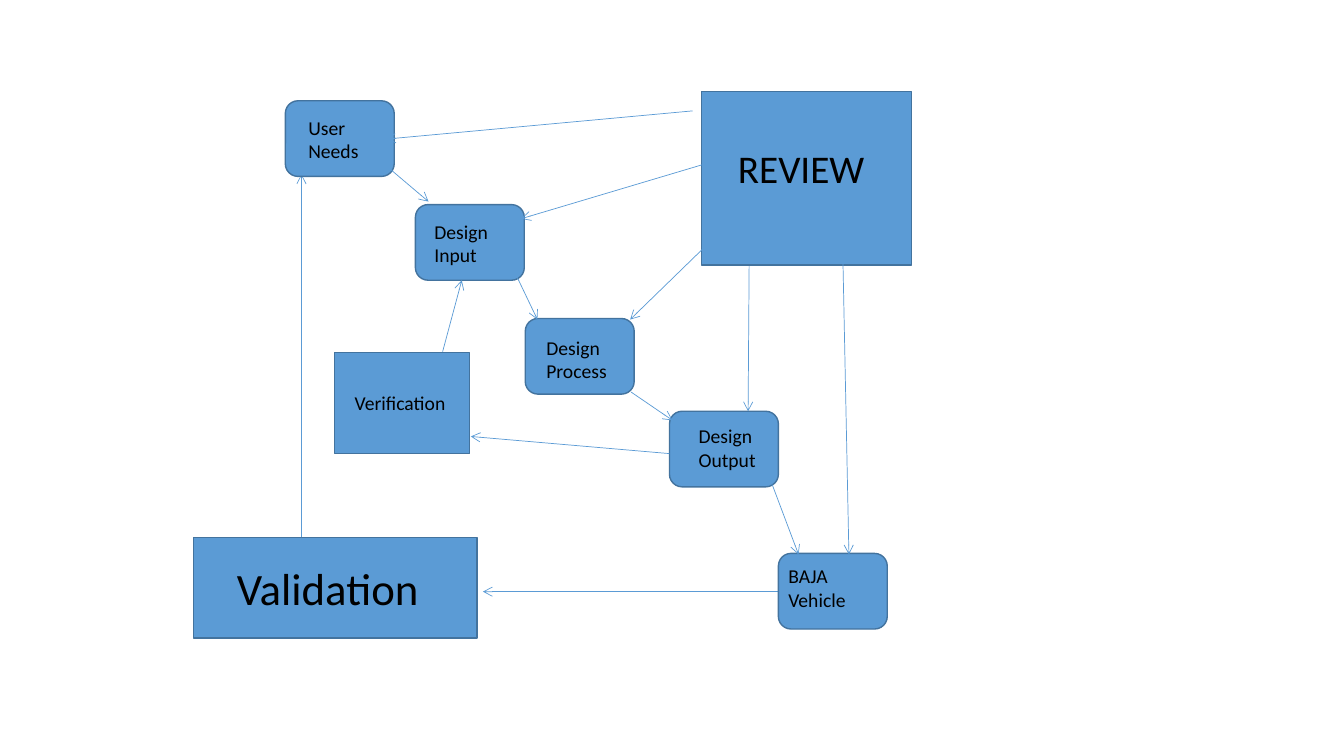
from lxml.etree import SubElement
from pptx import Presentation
from pptx.dml.color import RGBColor
from pptx.enum.shapes import MSO_CONNECTOR, MSO_SHAPE
from pptx.enum.text import MSO_AUTO_SIZE, PP_ALIGN
from pptx.oxml.ns import qn
from pptx.util import Inches, Pt

BLUE = RGBColor(0x5B, 0x9B, 0xD5)
EDGE = RGBColor(0x43, 0x73, 0x9E)
BLACK = RGBColor(0, 0, 0)

STEP_SIZE = (1.08, 0.75)
STEPS = [(2.83, 1), (7.72, 5.49), (4.12, 2.03), (5.21, 3.16), (6.64, 4.08)]
CHECKS = [(3.32, 3.5, 1.34, 1), (6.96, 0.91, 2.08, 1.72)]
LOOP = [(2.99, 5.33, 2.99, 1.73), (8.04, 5.87, 4.79, 5.87)]
FLOWS = [
    (3.86, 1.67, 4.25, 2),
    (5.12, 2.73, 5.33, 3.17),
    (6.26, 3.89, 6.67, 4.17),
    (7.66, 4.81, 7.92, 5.5),
    (6.64, 4.5, 4.67, 4.33),
    (4.39, 3.49, 4.58, 2.78),
    (6.87, 1.1, 3.83, 1.38),
    (6.98, 1.63, 5.17, 2.17),
    (6.98, 2.46, 6.25, 3.17),
    (7.43, 2.64, 7.42, 4.08),
    (8.36, 2.56, 8.42, 5.5),
]
LABELS = [
    ("REVIEW", (7.22, 1.38, 1.52, 0.57), 28),
    ("User Needs", (2.96, 1.1, 0.83, 0.57), 14),
    ("Design Input", (4.21, 2.13, 0.87, 0.57), 14),
    ("Design Process", (5.32, 3.28, 0.84, 0.57), 14),
    ("Design Output", (6.83, 4.16, 1.22, 0.57), 14),
    ("BAJA Vehicle", (7.72, 5.55, 1.02, 0.57), 14),
    ("Verification", (3.42, 3.83, 1.16, 0.34), 14),
]


def apply(target, values):
    for name, value in values.items():
        setattr(target, name, value)


class Chart:
    font = {"name": "Calibri"}
    frame = {"auto_size": MSO_AUTO_SIZE.SHAPE_TO_FIT_TEXT}

    def __init__(self, slide):
        self.shapes = slide.shapes

    def box(self, place, kind=MSO_SHAPE.RECTANGLE):
        shape = self.shapes.add_shape(kind, *map(Inches, place))
        shape.shadow.inherit = False
        shape.fill.solid()
        shape.fill.fore_color.rgb = BLUE
        shape.line.color.rgb = EDGE
        shape.line.width = Pt(1)

    def arrow(self, ends):
        link = self.shapes.add_connector(
            MSO_CONNECTOR.STRAIGHT, *map(Inches, ends))
        link.line.color.rgb = BLUE
        link.line.width = Pt(0.5)
        SubElement(link.line._get_or_add_ln(), qn("a:tailEnd"), type="arrow")
        SubElement(link._element.spPr, qn("a:effectLst"))

    def label(self, text, place, size, wrap=True):
        frame = self.shapes.add_textbox(*map(Inches, place)).text_frame
        apply(frame, {**self.frame, "word_wrap": wrap})
        line = frame.paragraphs[0]
        line.alignment = PP_ALIGN.LEFT
        run = line.add_run()
        run.text = text
        apply(run.font, {**self.font, "size": Pt(size)})
        run.font.color.rgb = BLACK


def main():
    deck = Presentation()
    apply(deck, {"slide_width": Inches(13.33), "slide_height": Inches(7.5)})
    chart = Chart(deck.slides.add_slide(deck.slide_layouts[6]))
    chart.box((1.92, 5.33, 2.81, 1))
    chart.label("Validation", (2.25, 5.51, 2.01, 0.64), 32, wrap=False)
    for ends in LOOP:
        chart.arrow(ends)
    for spot in STEPS:
        chart.box(spot + STEP_SIZE, MSO_SHAPE.ROUNDED_RECTANGLE)
    for place in CHECKS:
        chart.box(place)
    for ends in FLOWS:
        chart.arrow(ends)
    for text, place, size in LABELS:
        chart.label(text, place, size)
    deck.save("out.pptx")


if __name__ == "__main__":
    main()
